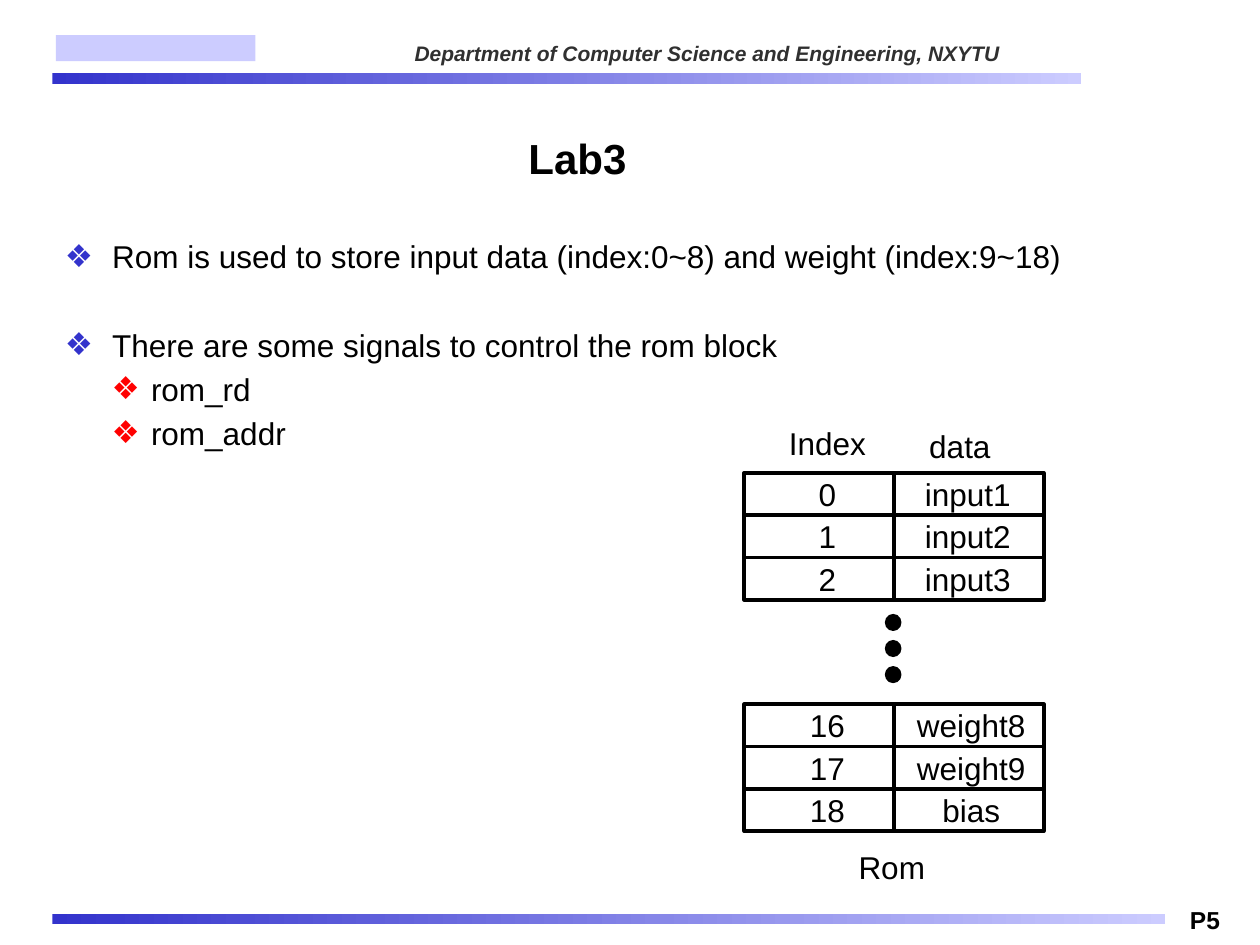
from lxml.etree import SubElement
from pptx import Presentation
from pptx.dml.color import RGBColor
from pptx.enum.shapes import MSO_SHAPE
from pptx.enum.text import MSO_ANCHOR, PP_ALIGN
from pptx.oxml.ns import qn
from pptx.util import Pt

BLACK, BLUE, PALE_BLUE, RED = "000000", "3333CC", "CCCCFF", "FF0000"


def color(value):
    return RGBColor.from_string(value)


class SlideBuilder:
    font = "Arial"
    size = 18

    def __init__(self, deck):
        self.page = deck.slides.add_slide(deck.slide_layouts[5])

    def span(self, para, text, size=None, fill=BLACK, bold=False, italic=False):
        run = para.add_run()
        run.text = text
        run.font.name = self.font
        run.font.size = Pt(size or self.size)
        run.font.bold = bold
        run.font.italic = italic
        run.font.color.rgb = color(fill)

    def title(self, text, left, top, width, height):
        box = self.page.shapes.title
        box.left, box.top, box.width, box.height = map(Pt, (left, top, width, height))
        frame = box.text_frame
        frame.vertical_anchor = MSO_ANCHOR.MIDDLE
        para = frame.paragraphs[0]
        para.alignment = PP_ALIGN.CENTER
        self.span(para, text, size=24, bold=True)

    def text_frame(self, left, top, width, height, wrap=True):
        box = self.page.shapes.add_textbox(Pt(left), Pt(top), Pt(width), Pt(height))
        box.text_frame.word_wrap = wrap
        return box.text_frame

    def label(self, text, center, top, width, **style):
        """Add one unwrapped line centred on a given x position."""
        frame = self.text_frame(center - width / 2, top, width, 28.8, wrap=False)
        para = frame.paragraphs[0]
        para.alignment = PP_ALIGN.CENTER
        self.span(para, text, **style)

    def bullet(self, para, text, level, indent, hanging, fill, before):
        para.level = level
        para.space_before = Pt(before)
        properties = para._p.get_or_add_pPr()
        properties.set("marL", str(Pt(indent)))
        properties.set("indent", str(Pt(-hanging)))
        bullet_color = SubElement(properties, qn("a:buClr"))
        SubElement(bullet_color, qn("a:srgbClr"), val=fill)
        SubElement(properties, qn("a:buFont"), typeface=self.font)
        SubElement(properties, qn("a:buChar"), char="❖")
        self.span(para, text)

    def shape(self, kind, left, top, width, height):
        shape = self.page.shapes.add_shape(kind, Pt(left), Pt(top), Pt(width), Pt(height))
        shape.shadow.inherit = False
        return shape

    def bar(self, left, top, width, height):
        bar = self.shape(MSO_SHAPE.RECTANGLE, left, top, width, height)
        bar.line.fill.background()
        bar.fill.gradient()
        bar.fill.gradient_angle = 0
        for stop, fill in zip(bar.fill.gradient_stops, (BLUE, PALE_BLUE)):
            stop.color.rgb = color(fill)

    def plain_block(self, left, top, width, height, fill):
        block = self.shape(MSO_SHAPE.RECTANGLE, left, top, width, height)
        block.line.fill.background()
        block.fill.solid()
        block.fill.fore_color.rgb = color(fill)

    def cell(self, left, top, width, height):
        cell = self.shape(MSO_SHAPE.RECTANGLE, left, top, width, height)
        cell.fill.background()
        cell.line.color.rgb = color(BLACK)
        cell.line.width = Pt(2.25)

    def dot(self, left, top, width, height):
        dot = self.shape(MSO_SHAPE.OVAL, left, top, width, height)
        dot.fill.solid()
        dot.fill.fore_color.rgb = color(BLACK)
        dot.line.color.rgb = color(BLACK)
        dot.line.width = Pt(0.75)


def add_frame(builder):
    """Add the header and footer of the page."""
    builder.bar(30, 42, 588, 6)
    builder.bar(30, 522.3, 636, 6)
    builder.plain_block(32, 20, 114, 15, PALE_BLUE)
    header = builder.text_frame(229.8, 19.8, 388, 22).paragraphs[0]
    builder.span(header, "Department of Computer Science and Engineering, NXYTU",
                 size=12, fill="303030", bold=True, italic=True)
    builder.label("P5", 688.6, 513.5, 41, size=14, bold=True)


def add_bullets(builder):
    frame = builder.text_frame(30, 132, 660, 378)
    items = [
        ("Rom is used to store input data (index:0~8) and weight (index:9~18)", 0, 3.6),
        ("There are some signals to control the rom block", 0, 29),
        ("rom_rd", 1, 3.6),
        ("rom_addr", 1, 3.6),
    ]
    styles = [(27, 27, BLUE), (49.2, 22.5, RED)]
    for number, (text, level, before) in enumerate(items):
        para = frame.add_paragraph() if number else frame.paragraphs[0]
        builder.bullet(para, text, level, *styles[level], before)


def add_rom(builder):
    left, cell_width, row_height = 425.4, 85.5, 24.2
    index_center = 472.8
    blocks = [
        (270.2, 553, [("0", "input1"), ("1", "input2"), ("2", "input3")]),
        (402.4, 555, [("16", "weight8"), ("17", "weight9"), ("18", "bias")]),
    ]
    for block_top, data_center, rows in blocks:
        for row, (index, data) in enumerate(rows):
            top = block_top + row * row_height
            for column in range(2):
                builder.cell(left + column * cell_width, top, cell_width, row_height)
            builder.label(index, index_center, top - 2.4, 48)
            builder.label(data, data_center, top - 2.4, 80)

    for number in range(3):
        builder.dot(506, 351.2 + number * 14.9, 8.8, 9)

    builder.label("Index", index_center, 239, 64)
    builder.label("data", 548.5, 240.5, 54)
    builder.label("Rom", 509.6, 481, 56)


def main():
    deck = Presentation()
    deck.slide_width, deck.slide_height = Pt(720), Pt(540)
    builder = SlideBuilder(deck)
    add_frame(builder)
    builder.title("Lab3", 30, 60, 600, 60)
    add_bullets(builder)
    add_rom(builder)
    deck.save("out.pptx")


if __name__ == "__main__":
    main()
